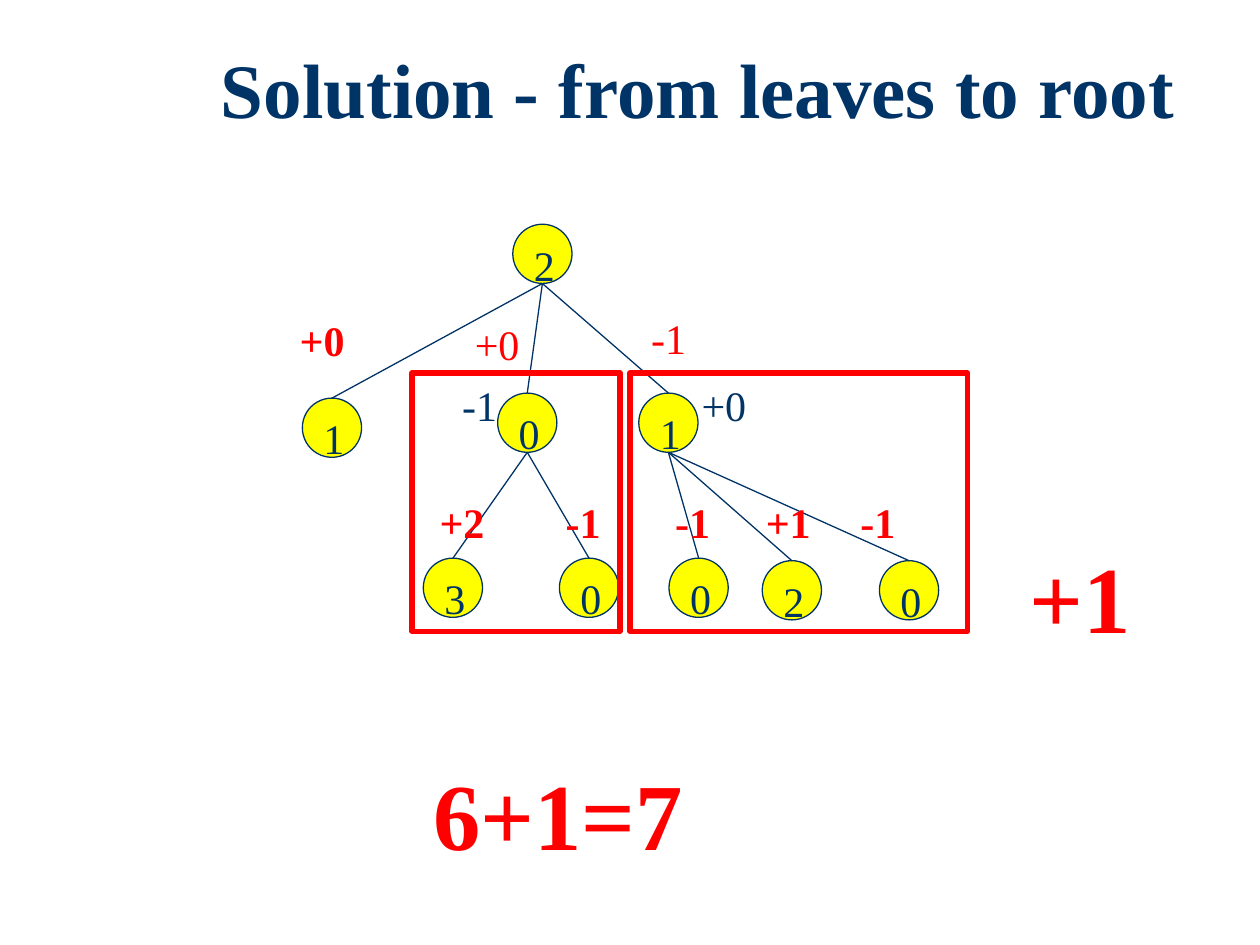
from lxml import etree
from pptx import Presentation
from pptx.dml.color import RGBColor
from pptx.enum.shapes import MSO_CONNECTOR, MSO_SHAPE
from pptx.enum.text import MSO_ANCHOR, PP_ALIGN
from pptx.oxml.ns import qn
from pptx.util import Inches, Pt

ELLIPSE, RECTANGLE = MSO_SHAPE.OVAL, MSO_SHAPE.RECTANGLE
STRAIGHT = MSO_CONNECTOR.STRAIGHT
TOP, LEFT, CENTER = MSO_ANCHOR.TOP, PP_ALIGN.LEFT, PP_ALIGN.CENTER

COLORS = {"navy": "003366", "red": "FF0000", "yellow": "FFFF00"}
FONT = "Times New Roman"
NODE_SIZE = 0.47

TITLE = ("Solution - from leaves to root", 1.54, 0.36, 8, 0.92)

NODES = {
    "root": ("2", 4.07, 1.78),
    "left": ("1", 2.4, 3.16),
    "middle": ("0", 3.95, 3.12),
    "right": ("1", 5.07, 3.12),
    "middle leaf 1": ("3", 3.36, 4.43),
    "middle leaf 2": ("0", 4.44, 4.43),
    "right leaf 1": ("0", 5.31, 4.43),
    "right leaf 2": ("2", 6.05, 4.45),
    "right leaf 3": ("0", 6.98, 4.45),
}
CHILDREN = {
    "root": ["left", "middle", "right"],
    "middle": ["middle leaf 1", "middle leaf 2"],
    "right": ["right leaf 1", "right leaf 2", "right leaf 3"],
}
SUBTREES = [(5, 2.96, 2.68, 2.05), (3.27, 2.96, 1.65, 2.05)]

LEAF_ROW = 3.89
BALANCES = [
    ("-1", 6.73, LEAF_ROW, "red", True),
    ("+1", 5.98, LEAF_ROW, "red", True),
    ("-1", 5.26, LEAF_ROW, "red", True),
    ("-1", 4.39, LEAF_ROW, "red", True),
    ("+2", 3.39, LEAF_ROW, "red", True),
    ("+0", 2.28, 2.45, "red", True),
    ("+0", 5.47, 2.96, "navy", False),
    ("-1", 5.07, 2.43, "red", False),
    ("-1", 3.57, 2.96, "navy", False),
    ("+0", 3.67, 2.48, "red", False),
]
BALANCE_WIDTHS = {"+": 0.56, "-": 0.48}
TOTALS = [("+1", 8.07, 4.23, 1.01), ("6+1=7", 3.34, 5.95, 2.2)]


def color(name):
    return RGBColor.from_string(COLORS[name])


def write(shape, text, size=24, ink="navy", bold=False, align=LEFT, wrap=False):
    frame = shape.text_frame
    frame.word_wrap = wrap
    frame.vertical_anchor = TOP
    paragraph = frame.paragraphs[0]
    paragraph.alignment = align
    run = paragraph.add_run()
    run.text = text
    run.font.name = FONT
    run.font.size = Pt(size)
    run.font.bold = bold
    run.font.color.rgb = color(ink)
    return paragraph


def add_text(slide, text, left, top, width, height, **style):
    box = slide.shapes.add_textbox(*map(Inches, (left, top, width, height)))
    return write(box, text, **style)


def add_outline(slide, kind, bounds, ink, weight):
    shape = slide.shapes.add_shape(kind, *map(Inches, bounds))
    shape.shadow.inherit = False
    shape.fill.background()
    shape.line.color.rgb = color(ink)
    shape.line.width = Pt(weight)
    return shape


def add_node(slide, value, left, top):
    node = add_outline(slide, ELLIPSE, (left, top, NODE_SIZE, NODE_SIZE), "navy", 0.75)
    node.fill.solid()
    node.fill.fore_color.rgb = color("yellow")
    write(node, value)
    return node


def add_edge(slide, parent, child):
    edge = slide.shapes.add_connector(
        STRAIGHT,
        parent.left + parent.width // 2,
        parent.top + parent.height,
        child.left + child.width // 2,
        child.top,
    )
    edge.line.color.rgb = color("navy")
    edge.line.width = Pt(0.75)
    etree.SubElement(edge.element.spPr, qn("a:effectLst"))


def main():
    deck = Presentation()
    deck.slide_width, deck.slide_height = Inches(10), Inches(7.5)
    slide = deck.slides.add_slide(deck.slide_layouts[6])

    title = add_text(slide, *TITLE, size=44, bold=True, align=CENTER, wrap=True)
    title.line_spacing = 0.9

    nodes = {name: add_node(slide, *node) for name, node in NODES.items()}
    for parent, children in CHILDREN.items():
        for child in children:
            add_edge(slide, nodes[parent], nodes[child])

    for bounds in SUBTREES:
        add_outline(slide, RECTANGLE, bounds, "red", 3)
    for text, left, top, ink, bold in BALANCES:
        add_text(slide, text, left, top, BALANCE_WIDTHS[text[0]], 0.5, ink=ink, bold=bold)
    for text, left, top, width in TOTALS:
        add_text(slide, text, left, top, width, 1.01, size=54, ink="red", bold=True)

    deck.save("out.pptx")


if __name__ == "__main__":
    main()
